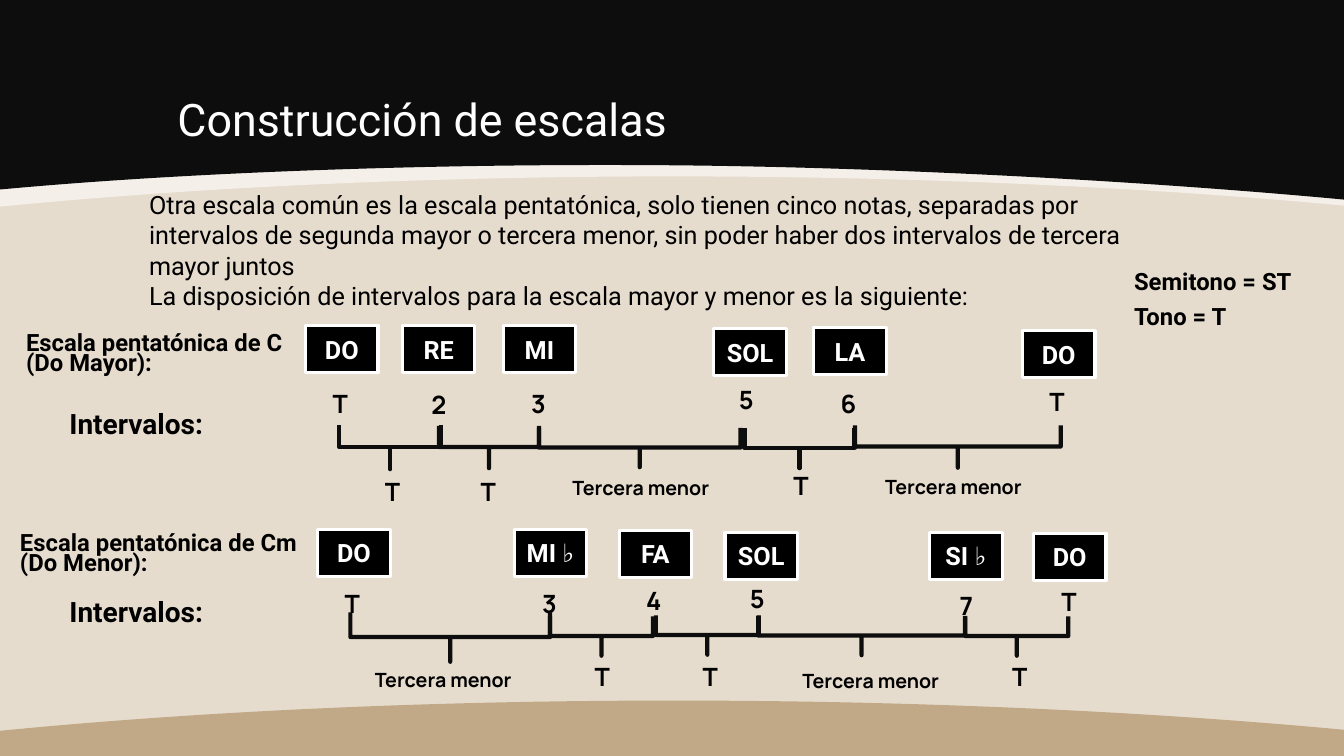
from dataclasses import dataclass

from pptx import Presentation
from pptx import util as u
from pptx.dml.color import RGBColor
from pptx.enum import shapes, text
from pptx.oxml.ns import qn
from lxml import etree

COLORS = {
    "sand": "E6DCCE",
    "cream": "FAF8F5",
    "ink": "0D0D0D",
    "tan": "C1A886",
    "black": "000000",
    "white": "FFFFFF",
}
SLIDE_WIDTH, SLIDE_HEIGHT = 13.33, 7.5
TONE, MINOR_THIRD = "T", "Tercera menor"

Point = tuple[float, float]


@dataclass
class Band:
    color: str
    edge: list[Point]
    base: float
    opacity: int = 100


@dataclass
class Note:
    name: str
    left: float
    top: float
    degree: str
    degree_left: float
    degree_top: float


@dataclass
class Interval:
    label: str
    left: float
    top: float
    depth: float
    span: float
    label_left: float
    label_top: float


@dataclass
class Caption:
    wording: str
    left: float
    top: float
    width: float
    size: float
    line_spacing: float


BANDS = [
    Band("cream", [(13.33, 2.04), (11.4, 1.86), (9.12, 1.75), (6.68, 1.75),
                   (4.23, 1.75), (1.94, 1.86), (0, 2.05)], 0, 70),
    Band("ink", [(13.33, 1.98), (11.4, 1.8), (8.89, 1.66), (6.68, 1.64),
                 (4.45, 1.62), (1.94, 1.7), (0, 1.88)], 0),
    Band("tan", [(13.33, 7.24), (11.4, 7.06), (9.12, 6.95), (6.68, 6.95),
                 (4.23, 6.95), (1.94, 7.06), (0, 7.25)], SLIDE_HEIGHT),
]

INTRODUCTION = [
    "Otra escala común es la escala pentatónica, solo tienen cinco notas, separadas por "
    "intervalos de segunda mayor o tercera menor, sin poder haber dos intervalos de tercera "
    "mayor juntos",
    "La disposición de intervalos para la escala mayor y menor es la siguiente:",
]

CAPTIONS = [
    Caption("Escala pentatónica de C (Do Mayor):", 0.16, 3.28, 3.04, 17, 0.7),
    Caption("Intervalos:", 0.59, 4.02, 2.56, 20, 0.9),
    Caption("Escala pentatónica de Cm (Do Menor):", 0.1, 5.26, 3.04, 17, 0.7),
    Caption("Intervalos:", 0.59, 5.89, 2.56, 20, 0.9),
    Caption("Semitono = ST", 11.15, 2.65, 1.97, 17, 0.8),
    Caption("Tono = T", 11.15, 3, 1.18, 17, 0.8),
]

MAJOR_NOTES = [
    Note("DO", 3.03, 3.23, "T", 3.2, 3.8),
    Note("RE", 3.99, 3.23, "2", 4.18, 3.81),
    Note("MI", 4.99, 3.23, "3", 5.17, 3.8),
    Note("SOL", 7.08, 3.26, "5", 7.23, 3.76),
    Note("LA", 8.07, 3.25, "6", 8.24, 3.8),
    Note("DO", 10.14, 3.28, "T", 10.31, 3.78),
]
MINOR_NOTES = [
    Note("DO", 3.15, 5.25, "T", 3.32, 5.79),
    Note("MI ♭", 5.1, 5.25, "3", 5.28, 5.79),
    Note("FA", 6.14, 5.26, "4", 6.31, 5.76),
    Note("SOL", 7.19, 5.28, "5", 7.34, 5.74),
    Note("SI ♭", 9.22, 5.28, "7", 9.42, 5.81),
    Note("DO", 10.25, 5.29, "T", 10.43, 5.77),
]
MAJOR_INTERVALS = [
    Interval(TONE, 3.65, 3.93, 0.44, 1.01, 3.72, 4.68),
    Interval(TONE, 4.64, 3.94, 0.42, 0.99, 4.67, 4.68),
    Interval(MINOR_THIRD, 6.15, 3.44, 0.39, 2, 5.58, 4.67),
    Interval(TONE, 7.73, 3.9, 0.4, 1.09, 7.77, 4.62),
    Interval(MINOR_THIRD, 9.29, 3.41, 0.42, 2.04, 8.68, 4.66),
]
MINOR_INTERVALS = [
    Interval(MINOR_THIRD, 4.22, 5.33, 0.49, 1.98, 3.62, 6.58),
    Interval(TONE, 5.77, 5.8, 0.39, 1.02, 5.8, 6.51),
    Interval(TONE, 6.82, 5.79, 0.39, 1.02, 6.87, 6.51),
    Interval(MINOR_THIRD, 8.35, 5.28, 0.39, 2.05, 7.86, 6.59),
    Interval(TONE, 9.89, 5.8, 0.39, 1.02, 9.94, 6.51),
]


def rgb(color: str) -> RGBColor:
    return RGBColor.from_string(COLORS[color])


def box(left: float, top: float, width: float, height: float) -> list[u.Length]:
    return [u.Inches(length) for length in (left, top, width, height)]


def add_run(paragraph, wording: str, size: float, font: str = "Roboto",
            color: str = "black", bold: bool = True) -> None:
    run = paragraph.add_run()
    run.text = wording
    run.font.size = u.Pt(size)
    run.font.name = font
    run.font.bold = bold
    run.font.color.rgb = rgb(color)


def add_frame(slide, left: float, top: float, width: float, height: float, grow: bool = True):
    frame = slide.shapes.add_textbox(*box(left, top, width, height)).text_frame
    frame.word_wrap = True
    fit = text.MSO_AUTO_SIZE
    frame.auto_size = fit.SHAPE_TO_FIT_TEXT if grow else fit.NONE
    return frame


def bend_edge(area) -> None:
    segments = list(area._element.iter(qn("a:lnTo")))[2:8]
    for first in (0, 3):
        arc = etree.Element(qn("a:cubicBezTo"))
        segments[first].addprevious(arc)
        for segment in segments[first:first + 3]:
            arc.append(segment[0])
            segment.getparent().remove(segment)


def add_band(slide, band: Band) -> None:
    outline = [(SLIDE_WIDTH, band.base), *band.edge]
    builder = slide.shapes.build_freeform(u.Inches(0), u.Inches(band.base))
    builder.add_line_segments([(u.Inches(x), u.Inches(y)) for x, y in outline])
    area = builder.convert_to_shape()
    bend_edge(area)
    area.shadow.inherit = False
    area.line.fill.background()
    area.fill.solid()
    area.fill.fore_color.rgb = rgb(band.color)
    if band.opacity < 100:
        tint = area.fill._xPr.find(".//" + qn("a:srgbClr"))
        etree.SubElement(tint, qn("a:alpha")).set("val", str(band.opacity * 1000))


def add_title(slide) -> None:
    title = slide.shapes.title
    title.left, title.top, title.width, title.height = box(1.66, 0.3, 10, 1.2)
    title.text_frame.vertical_anchor = text.MSO_ANCHOR.BOTTOM
    heading = title.text_frame.paragraphs[0]
    heading.alignment = text.PP_ALIGN.LEFT
    heading.line_spacing = 0.9
    add_run(heading, "Construcción de escalas", 32, color="white", bold=False)


def add_introduction(slide) -> None:
    frame = add_frame(slide, 1.38, 1.83, 9.88, 1.92)
    for index, sentence in enumerate(INTRODUCTION):
        paragraph = frame.add_paragraph() if index else frame.paragraphs[0]
        add_run(paragraph, sentence, 18, bold=False)


def add_caption(slide, caption: Caption) -> None:
    frame = add_frame(slide, caption.left, caption.top, caption.width, 0.52, grow=False)
    paragraph = frame.paragraphs[0]
    paragraph.line_spacing = caption.line_spacing
    paragraph.space_before = u.Pt(18)
    add_run(paragraph, caption.wording, caption.size)


def add_note(slide, note: Note) -> None:
    key = slide.shapes.add_shape(shapes.MSO_SHAPE.RECTANGLE, *box(note.left, note.top, 0.72, 0.47))
    key.shadow.inherit = False
    key.fill.solid()
    key.fill.fore_color.rgb = rgb("black")
    key.line.color.rgb = rgb("white")
    key.line.width = u.Pt(2.25)
    key.text_frame.vertical_anchor = text.MSO_ANCHOR.MIDDLE
    paragraph = key.text_frame.paragraphs[0]
    paragraph.alignment = text.PP_ALIGN.CENTER
    add_run(paragraph, note.name, 18, color="white")
    degree = add_frame(slide, note.degree_left, note.degree_top, 0.47, 0.4)
    add_run(degree.paragraphs[0], note.degree, 18, "Manrope")


def add_interval(slide, interval: Interval) -> None:
    brace = slide.shapes.add_shape(
        shapes.MSO_SHAPE.RIGHT_BRACE,
        *box(interval.left, interval.top, interval.depth, interval.span))
    brace.rotation = 90
    brace.adjustments[0], brace.adjustments[1] = 0, 0.5
    brace.shadow.inherit = False
    brace.fill.background()
    brace.line.color.rgb = rgb("ink")
    brace.line.width = u.Pt(3)
    width, height, size = (0.47, 0.4, 18) if interval.label == TONE else (2.17, 0.34, 14)
    label = add_frame(slide, interval.label_left, interval.label_top, width, height)
    add_run(label.paragraphs[0], interval.label, size, "Manrope")


def main() -> None:
    deck = Presentation()
    deck.slide_width, deck.slide_height = u.Inches(SLIDE_WIDTH), u.Inches(SLIDE_HEIGHT)
    slide = deck.slides.add_slide(deck.slide_layouts.get_by_name("Title Only"))
    slide.background.fill.solid()
    slide.background.fill.fore_color.rgb = rgb("sand")
    for band in BANDS:
        add_band(slide, band)
    slide.shapes._spTree.append(slide.shapes.title._element)
    add_title(slide)
    add_introduction(slide)
    for caption in CAPTIONS:
        add_caption(slide, caption)
    for note in MAJOR_NOTES + MINOR_NOTES:
        add_note(slide, note)
    for interval in MAJOR_INTERVALS + MINOR_INTERVALS:
        add_interval(slide, interval)
    deck.save("out.pptx")


if __name__ == "__main__":
    main()
